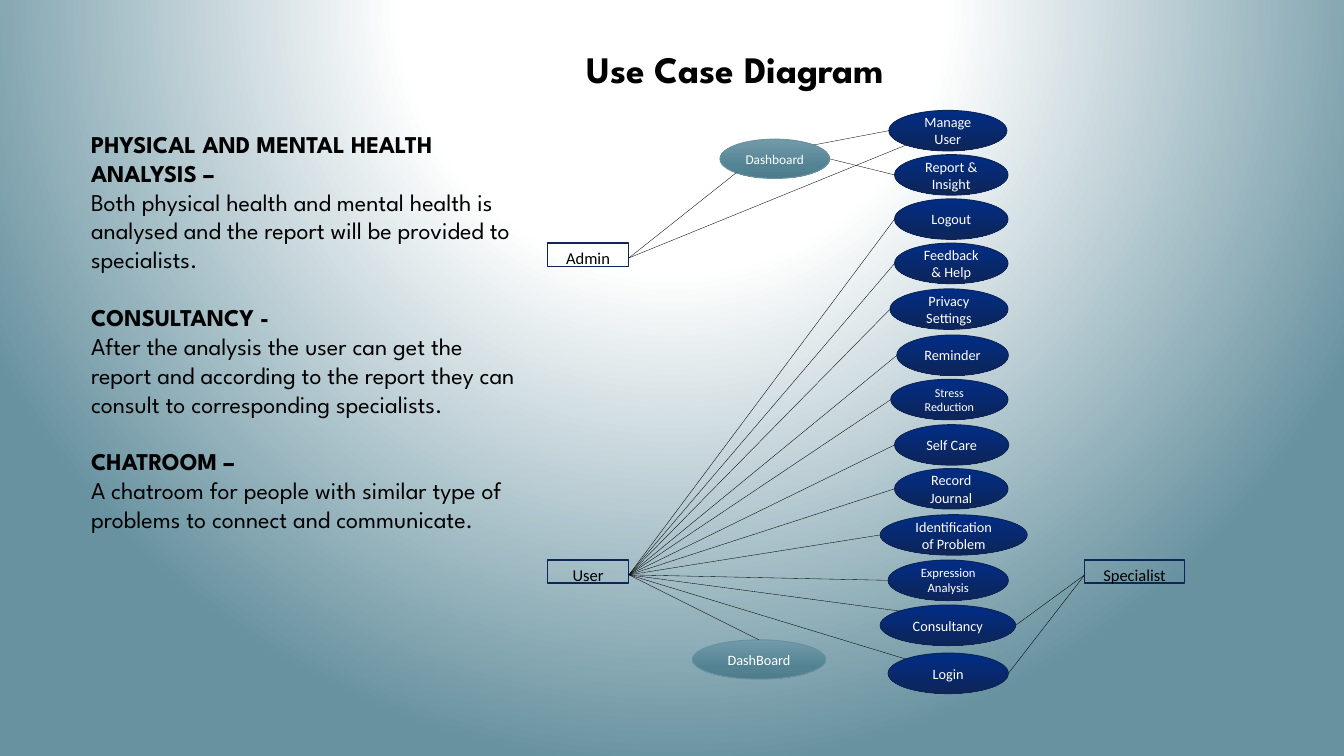
from lxml import etree
from pptx import Presentation
from pptx.dml.color import RGBColor
from pptx.enum.shapes import MSO_CONNECTOR, MSO_SHAPE
from pptx.enum.text import MSO_ANCHOR as Anchor, MSO_AUTO_SIZE as AutoSize, PP_ALIGN as Align
from pptx.oxml.ns import qn
from pptx.util import Cm, Pt

COLORS = {
    "black": "000000", "white": "FFFFFF", "teal": "6892A0",
    "blue": "012D86", "navy": "0E2557",
    "teal_top": "729BA9", "teal_mid": "538393", "teal_low": "4F7C8B",
}
HEADING_FONT, LABEL_FONT = "League Spartan", "Calibri"

BACKDROP = [(0, "white"), (35, "white"), (100, "teal")]
NAVY_FILL = [(0, "blue"), (100, "navy")]
TEAL_FILL = [(0, "teal_top"), (69, "teal_mid"), (100, "teal_low")]

SECTIONS = [
    ("PHYSICAL AND MENTAL HEALTH ANALYSIS –",
     "Both physical health and mental health is analysed and the report will be "
     "provided to specialists."),
    ("CONSULTANCY -",
     "After the analysis the user can get the report and according to the report "
     "they can consult to corresponding specialists."),
    ("CHATROOM –",
     "A chatroom for people with similar type of problems to connect and communicate."),
]

# Label, left, top, width in cm within the diagram box
ACTORS = [("Admin", 0, 3.51, 2.16), ("User", 0, 11.89, 2.16), ("Specialist", 14.22, 11.89, 2.64)]
# Label, left, top, width, text size
USE_CASES = [
    ("Manage User", 9.04, 0, 3.12, 10.7),
    ("Report & Insight", 9.19, 1.17, 3, 10.7),
    ("Logout", 9.19, 2.34, 3, 10.7),
    ("Feedback & Help", 9.19, 3.51, 3, 10.7),
    ("Privacy Settings", 9.07, 4.72, 3.12, 10.7),
    ("Reminder", 9.25, 5.94, 2.95, 10.7),
    ("Stress Reduction", 9.09, 7.11, 3.1, 9),
    ("Self Care", 9.19, 8.31, 3.02, 10.7),
    ("Record Journal", 9.19, 9.47, 3, 10.7),
    ("Identification of Problem", 8.81, 10.69, 3.89, 10.7),
    ("Expression\nAnalysis", 9.02, 11.89, 3.18, 9.5),
    ("Consultancy", 8.81, 13.08, 3.58, 10.7),
    ("Login", 9.02, 14.35, 3.18, 10.7),
]
DASHBOARDS = [("DashBoard", 3.84, 14, 3.53, 10.7), ("Dashboard", 4.57, 0.76, 2.9, 10)]

# Attachment points as fractions of a shape's width and height
SITES = {
    "left": (0, 0.5), "right": (1, 0.5), "top": (0.5, 0),
    "top left": (0.15, 0.15), "top right": (0.85, 0.15), "bottom left": (0.15, 0.85),
    "actor left": (0, 0.64), "actor right": (1, 0.64),
}
USER_LINKS = [(label, "left") for label, *_ in USE_CASES[2:11]] + [
    ("Consultancy", "top left"), ("Login", "top left"), ("DashBoard", "top")]
LINKS = [
    ("Admin", "actor right", "Dashboard", "bottom left"),
    ("Admin", "actor right", "Manage User", "bottom left"),
    ("Dashboard", "top right", "Manage User", "left"),
    ("Dashboard", "right", "Report & Insight", "left"),
    ("Consultancy", "right", "Specialist", "actor left"),
    ("Login", "right", "Specialist", "actor left"),
] + [("User", "actor right", label, site) for label, site in USER_LINKS]


def color(name):
    return RGBColor.from_string(COLORS[name])


def set_values(target, **values):
    for name, value in values.items():
        setattr(target, name, value)


def style_font(font, size, family, shade, bold=False):
    set_values(font, size=Pt(size), name=family, bold=bold)
    font.color.rgb = color(shade)


def set_gradient(fill, holder, stops, circular=False):
    """Give the holder element a circular or top-to-bottom gradient."""
    fill.background()
    gradient = etree.Element(qn("a:gradFill"), rotWithShape="1")
    stop_list = etree.SubElement(gradient, qn("a:gsLst"))
    for percent, name in stops:
        stop = etree.SubElement(stop_list, qn("a:gs"), pos=str(percent * 1000))
        etree.SubElement(stop, qn("a:srgbClr"), val=COLORS[name])
    if circular:
        shade = etree.SubElement(gradient, qn("a:path"), path="circle")
        etree.SubElement(shade, qn("a:fillToRect"), l="50000", t="-80000", r="50000", b="180000")
    else:
        etree.SubElement(gradient, qn("a:lin"), ang="5400000", scaled="0")
    holder.replace(holder.find(qn("a:noFill")), gradient)


def add_title(page, left, top, width, height):
    title = page.shapes.title
    set_values(title, left=Cm(left), top=Cm(top), width=Cm(width), height=Cm(height))
    frame = title.text_frame
    frame.text = "Use Case Diagram"
    set_values(frame, auto_size=AutoSize.NONE, vertical_anchor=Anchor.TOP, word_wrap=True)
    frame.paragraphs[0].alignment = Align.CENTER
    style_font(frame.paragraphs[0].font, 28, HEADING_FONT, "black", bold=True)


def add_descriptions(page, left, top, width, height):
    frame = page.shapes.add_textbox(Cm(left), Cm(top), Cm(width), Cm(height)).text_frame
    frame.word_wrap = True
    for index, section in enumerate(SECTIONS):
        for text, is_heading in zip(section, (True, False)):
            first = index == 0 and is_heading
            para = frame.paragraphs[0] if first else frame.add_paragraph()
            para.text = text
            if is_heading and not first:
                para.space_before = Pt(21.7)
            style_font(para.font, 18, HEADING_FONT, "black", bold=is_heading)


def add_node(page, kind, label, box, size, shade, line, line_width):
    node = page.shapes.add_shape(kind, *(Cm(length) for length in box))
    node.shadow.inherit = False
    node.fill.background()
    node.line.color.rgb = color(line)
    node.line.width = Pt(line_width)
    frame = node.text_frame
    frame.text = label
    set_values(frame, word_wrap=" " in label, vertical_anchor=Anchor.MIDDLE)
    for para in frame.paragraphs:
        para.alignment = Align.CENTER
        style_font(para.font, size, LABEL_FONT, shade)
    return node


def site_point(node, site):
    across, down = SITES[site]
    return int(node.left + across * node.width), int(node.top + down * node.height)


def add_diagram(page, left, top):
    nodes = {}
    # Actors
    for label, x, y, width in ACTORS:
        box = (left + x, top + y, width, 0.61)
        nodes[label] = add_node(page, MSO_SHAPE.RECTANGLE, label, box, 12.4, "black", "navy", 1)
        nodes[label].text_frame.vertical_anchor = Anchor.TOP

    # Use cases and dashboards
    for group, height, stops, line in ((USE_CASES, 1.07, NAVY_FILL, "navy"),
                                       (DASHBOARDS, 1.04, TEAL_FILL, "teal")):
        for label, x, y, width, size in group:
            box = (left + x, top + y, width, height)
            node = add_node(page, MSO_SHAPE.OVAL, label, box, size, "white", line, 0.75)
            set_gradient(node.fill, node._element.spPr, stops)
            nodes[label] = node

    # Links
    for start, start_site, end, end_site in LINKS:
        link = page.shapes.add_connector(
            MSO_CONNECTOR.STRAIGHT,
            *site_point(nodes[start], start_site), *site_point(nodes[end], end_site))
        link.line.color.rgb = color("black")
        link.line.width = Pt(0.25)
        etree.SubElement(link._element.spPr, qn("a:effectLst"))


def main():
    deck = Presentation()
    set_values(deck, slide_width=Cm(35.56), slide_height=Cm(19.99))
    page = deck.slides.add_slide(deck.slide_layouts[5])
    fill = page.background.fill
    fill.background()
    set_gradient(fill, page._element.find(".//" + qn("p:bgPr")), BACKDROP, circular=True)
    add_descriptions(page, 2.16, 3.3, 11.81, 14.1)
    add_title(page, 14.63, 1.09, 9.65, 1.3)
    add_diagram(page, 14.48, 2.92)
    deck.save("out.pptx")


if __name__ == "__main__":
    main()
